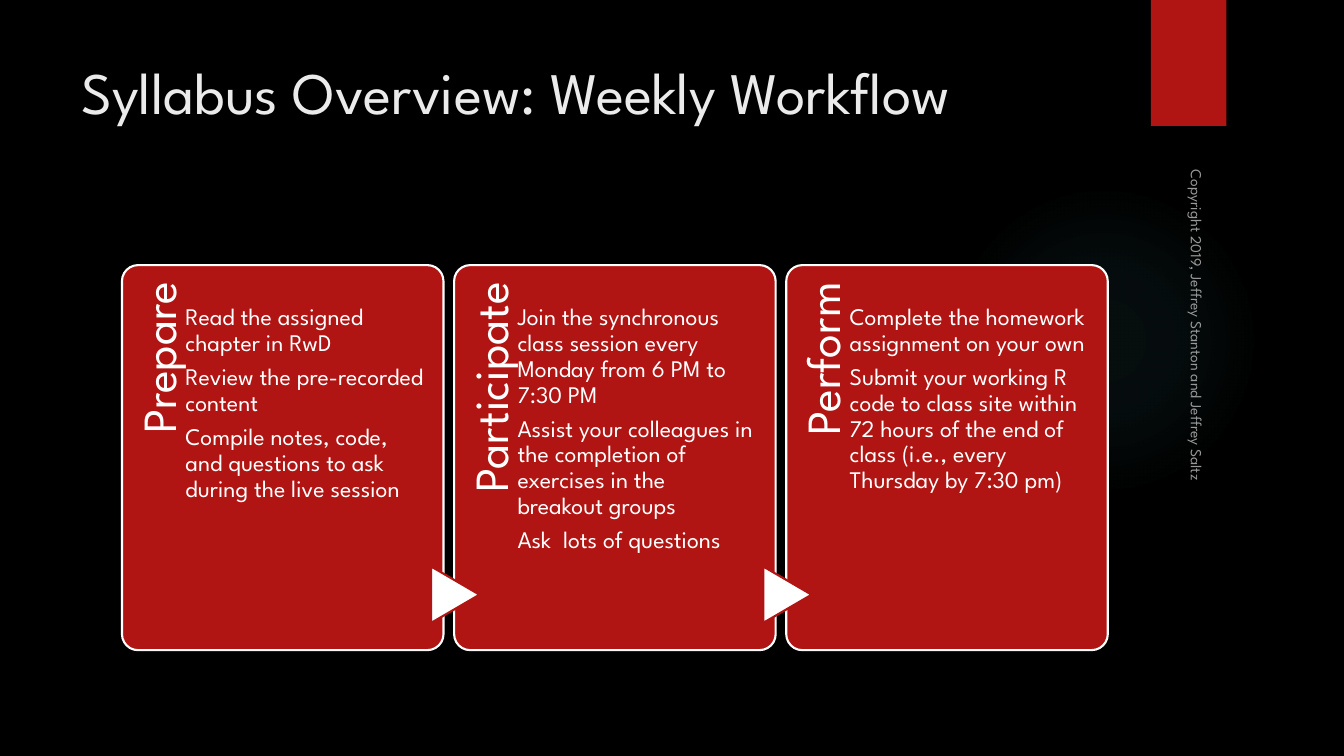
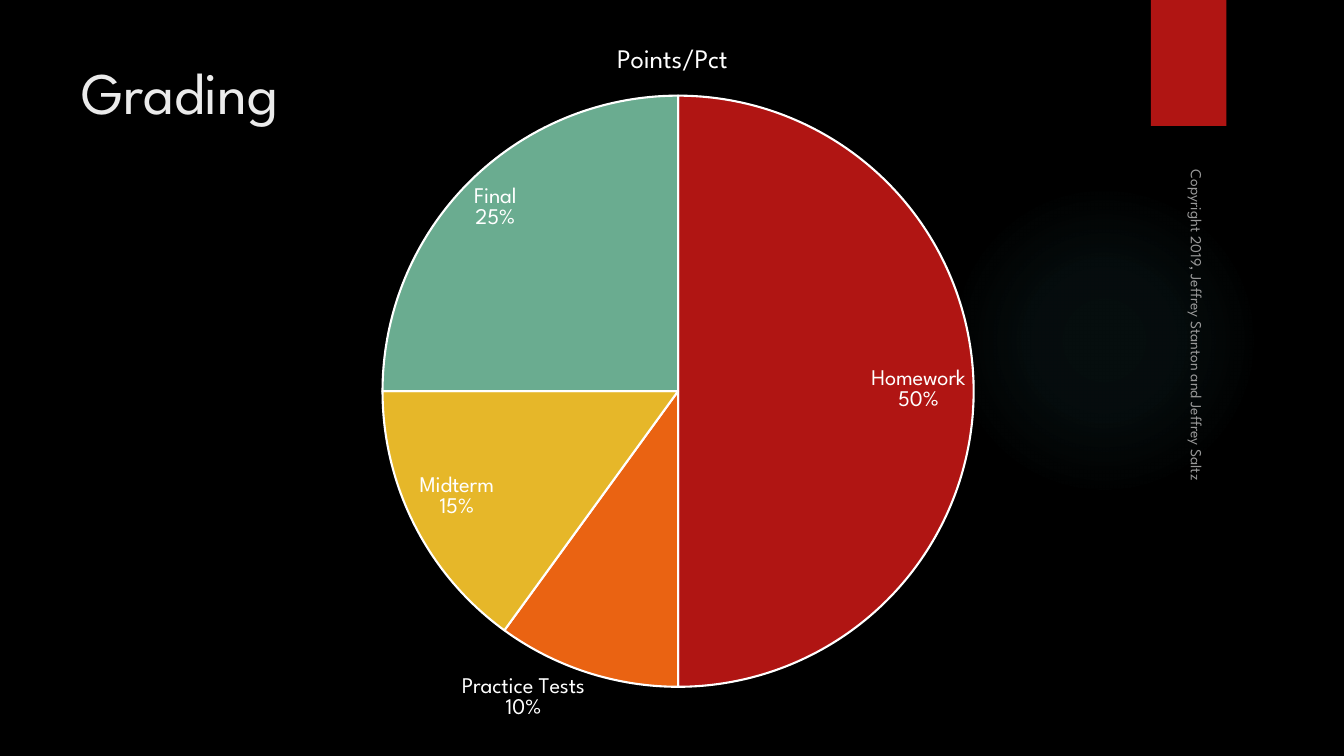
from dataclasses import dataclass

from lxml.etree import SubElement
from pptx import Presentation
from pptx.chart.data import CategoryChartData
from pptx.dml.color import RGBColor
from pptx.enum.chart import XL_CHART_TYPE, XL_LABEL_POSITION
from pptx.enum.shapes import MSO_SHAPE
from pptx.enum.text import MSO_ANCHOR, PP_ALIGN
from pptx.oxml import parse_xml
from pptx.oxml.ns import nsdecls, qn
from pptx.util import Emu, Inches, Pt

# Grid: 160 columns by 90 rows, each cell 1/12 inch
COLS, ROWS = 160, 90
CELL = Inches(1) / 12

FACE = "League Spartan"
RED, WHITE, BLACK, PALE, GREY, TEAL = (
    "B01513", "FFFFFF", "000000", "EBEBEB", "999999", "50B9C1")
FOOT = "Copyright 2019, Jeffrey Stanton and Jeffrey Saltz"


@dataclass(frozen=True)
class Box:
    """Place on the grid, in columns and rows."""
    x: float
    y: float
    w: float
    h: float

    def emu(self) -> list[Emu]:
        return [Emu(round(n * CELL)) for n in (self.x, self.y, self.w, self.h)]


@dataclass(frozen=True)
class Style:
    """Look of a text box; pads are left, top, right, bottom in cells."""
    size: float
    color: str
    pads: tuple = (1.2, 0.6, 1.2, 0.6)
    anchor: MSO_ANCHOR = MSO_ANCHOR.TOP
    align: PP_ALIGN = PP_ALIGN.LEFT
    lead: float = 1.0
    after: float = 0


@dataclass(frozen=True)
class Card:
    head: str
    items: tuple


@dataclass(frozen=True)
class Slice:
    name: str
    value: int
    color: str


TITLE = Style(42, PALE)
NOTE = Style(11, GREY, anchor=MSO_ANCHOR.BOTTOM)
HEAD = Style(34, WHITE, (0, 1.56, 2.04, 0), align=PP_ALIGN.RIGHT, lead=0.9)
BODY = Style(17, WHITE, (0, 4.8, 0, 0), lead=0.9, after=6)

CARDS = (
    Card("Prepare", (
        "Read the assigned chapter in RwD",
        "Review the pre-recorded content",
        "Compile notes, code, and questions to ask during the live session")),
    Card("Participate", (
        "Join the synchronous class session every Monday from 6 PM to 7:30 PM",
        "Assist your colleagues in the completion of exercises in the "
        "breakout groups",
        "Ask  lots of questions")),
    Card("Perform", (
        "Complete the homework assignment on your own",
        "Submit your working R code to class site within 72 hours of the end "
        "of class (i.e., every Thursday by 7:30 pm)")),
)

SLICES = (
    Slice("Homework", 50, RED),
    Slice("Practice Tests", 10, "EA6312"),
    Slice("Midterm", 15, "E6B729"),
    Slice("Final", 25, "6AAC90"),
)


def hue(code: str) -> RGBColor:
    return RGBColor.from_string(code)


def put(thing, **vals) -> None:
    """Set each named attribute of an object."""
    for key, val in vals.items():
        setattr(thing, key, val)


def paint(fill, code: str) -> None:
    fill.solid()
    fill.fore_color.rgb = hue(code)


def ink(font, size: float, code: str) -> None:
    put(font, name=FACE, size=Pt(size), bold=False)
    font.color.rgb = hue(code)


def edge(line, code: str) -> None:
    paint(line.fill, code)
    line.width = Pt(1.5)


def shape(slide, kind: MSO_SHAPE, box: Box, fill: str, line: str = "",
          turn: float = 0):
    item = slide.shapes.add_shape(kind, *box.emu())
    item.shadow.inherit = False
    item.rotation = turn
    paint(item.fill, fill)
    if line:
        edge(item.line, line)
    else:
        item.line.fill.background()
    return item


def text(slide, box: Box, lines: tuple, look: Style, turn: float = 0) -> None:
    item = slide.shapes.add_textbox(*box.emu())
    item.rotation = turn
    frame = item.text_frame
    left, top, right, low = (Emu(round(n * CELL)) for n in look.pads)
    put(frame, word_wrap=True, vertical_anchor=look.anchor, margin_left=left,
        margin_top=top, margin_right=right, margin_bottom=low)
    for at, line in enumerate(lines):
        para = frame.add_paragraph() if at else frame.paragraphs[0]
        put(para, alignment=look.align, line_spacing=look.lead,
            space_after=Pt(look.after))
        run = para.add_run()
        run.text = line
        ink(run.font, look.size, look.color)


def glow(slide) -> None:
    """Soft round light with a fading fill."""
    item = shape(slide, MSO_SHAPE.OVAL, Box(112.92, 22, 37, 37), TEAL)
    stops = "".join(
        f'<a:gs pos="{pos}000"><a:srgbClr val="{TEAL}">'
        f'<a:alpha val="{alpha}000"/></a:srgbClr></a:gs>'
        for pos, alpha in ((0, 7), (36, 6), (69, 0)))
    grad = parse_xml(
        f'<a:gradFill {nsdecls("a")}><a:gsLst>{stops}</a:gsLst>'
        '<a:path path="circle"><a:fillToRect l="50000" t="50000" '
        'r="50000" b="50000"/></a:path></a:gradFill>')
    props = item._element.spPr
    props.replace(props.find(qn("a:solidFill")), grad)


def start(deck, title: str):
    """New slide with the shared backdrop, band, title and side note."""
    slide = deck.slides.add_slide(deck.slide_layouts[6])
    paint(slide.background.fill, BLACK)
    glow(slide)
    shape(slide, MSO_SHAPE.RECTANGLE, Box(137, 0, 9, 15), RED)
    text(slide, Box(8.5, 6, 123.5, 18.36), (title,), TITLE)
    text(slide, Box(117.48, 42.36, 50.64, 3.96), (FOOT,), NOTE, 90)
    return slide


def flow(slide) -> None:
    """Row of cards, an arrow over each gap."""
    left, top, wide, high, step = 14.52, 31.56, 38.28, 45.84, 39.54
    for at, card in enumerate(CARDS):
        x = left + at * step
        rect = shape(slide, MSO_SHAPE.ROUNDED_RECTANGLE,
                     Box(x, top, wide, high), RED, WHITE)
        rect.adjustments[0] = 0.05
        text(slide, Box(x - 15, 46.56, 37.68, 7.68), (card.head,), HEAD, 270)
        if at:
            shape(slide, MSO_SHAPE.FLOWCHART_EXTRACT,
                  Box(x - 3.22, 67.92, 6.72, 5.76), WHITE, RED, 90)
        text(slide, Box(x + 7.56, top, 28.44, high), card.items, BODY)


def pie(slide) -> None:
    """Pie of grade shares."""
    data = CategoryChartData()
    data.categories = [part.name for part in SLICES]
    data.add_series("Points/Pct", [part.value for part in SLICES])
    chart = slide.shapes.add_chart(
        XL_CHART_TYPE.PIE, *Box(11.04, 2.64, 138, 86.16).emu(), data).chart
    put(chart, has_legend=False, has_title=True)
    ink(chart.font, 10, WHITE)
    head = chart.chart_title.text_frame
    head.text = "Points/Pct"
    ink(head.paragraphs[0].runs[0].font, 19.1, WHITE)

    plot = chart.plots[0]
    plot.vary_by_categories = True
    row = plot.series[0]
    for at, part in enumerate(SLICES):
        form = row.points[at].format
        paint(form.fill, part.color)
        edge(form.line, WHITE)

    tags = row.data_labels
    put(tags, show_value=False, show_percentage=True, show_category_name=True,
        position=XL_LABEL_POSITION.BEST_FIT)
    ink(tags.font, 16, WHITE)
    split = parse_xml(f'<c:separator {nsdecls("c")}>\n</c:separator>')
    tags._element.find(qn("c:showBubbleSize")).addnext(split)

    # Fixed plot area, as shares of the chart
    area = chart._chartSpace.chart.plotArea
    lay = area.find(qn("c:layout"))
    if lay is None:
        lay = parse_xml(f'<c:layout {nsdecls("c")}/>')
        area.insert(0, lay)
    spot = SubElement(lay, qn("c:manualLayout"))
    for tag, val in (("layoutTarget", "inner"), ("xMode", "edge"),
                     ("yMode", "edge"), ("x", "0.25"), ("y", "0.1"),
                     ("w", "0.51"), ("h", "0.82")):
        SubElement(spot, qn(f"c:{tag}")).set("val", val)


def main() -> None:
    deck = Presentation()
    put(deck, slide_width=Emu(round(COLS * CELL)),
        slide_height=Emu(round(ROWS * CELL)))
    flow(start(deck, "Syllabus Overview: Weekly Workflow"))
    pie(start(deck, "Grading"))
    deck.save("out.pptx")


if __name__ == "__main__":
    main()
